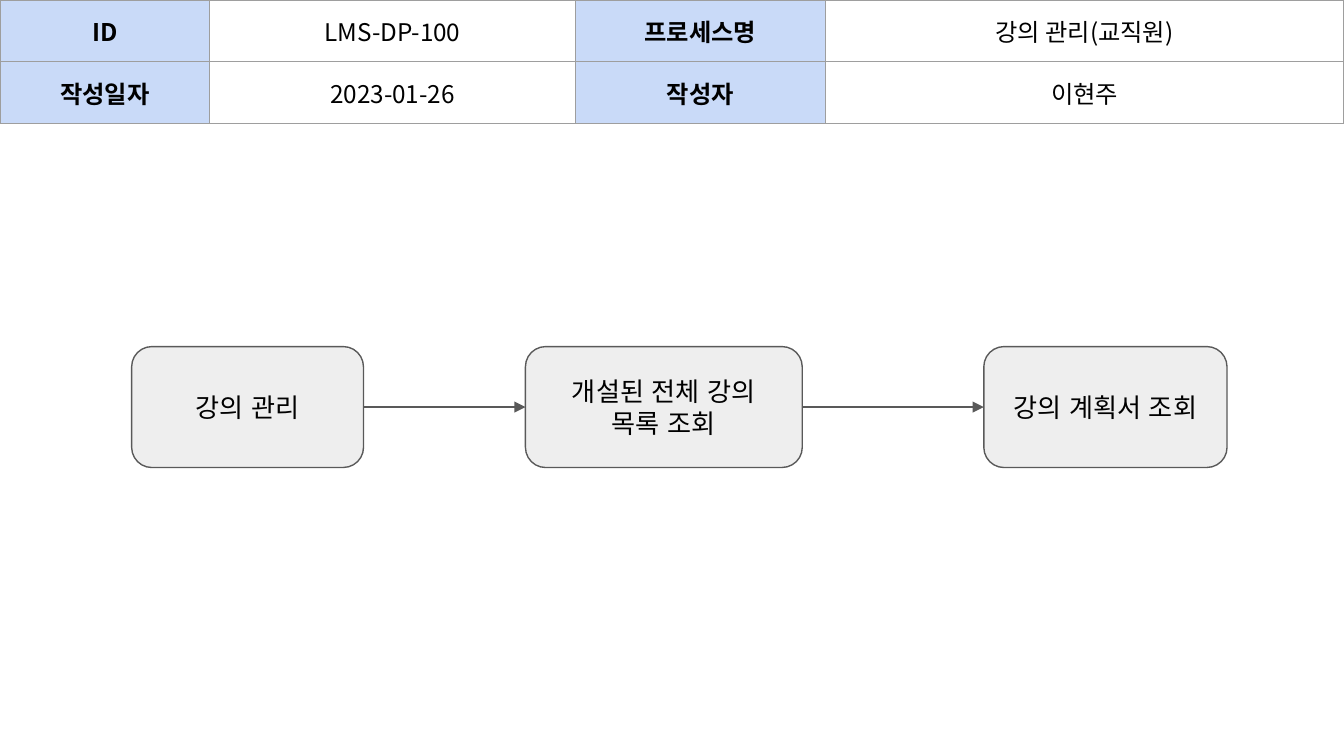
import dataclasses
import itertools

import pptx
import pptx.dml.color
import pptx.enum.shapes
import pptx.enum.text
import pptx.oxml
import pptx.oxml.ns
import pptx.util


@dataclasses.dataclass(frozen=True)
class Theme:
    text: str = "000000"
    label_fill: str = "C9DAF8"
    step_fill: str = "EEEEEE"
    outline: str = "595959"
    border: str = "9E9E9E"
    table_font: str = "Noto Sans CJK KR"
    step_font: str = "Arial"
    table_size: int = 13
    step_size: int = 14
    line_width: float = 0.75


THEME = Theme()
SLIDE_WIDTH = pptx.util.Inches(10)
SLIDE_HEIGHT = SLIDE_WIDTH * 9 // 16
GRID = 100
INSET = pptx.util.Inches(0.1)
RIGHT_SITE, LEFT_SITE = 3, 1

COLUMN_SPANS = (15.6, 27.2, 18.6, 9.1, 11.2, 18.3)
ROW_SPANS = (7.5, 7.6)
TABLE_ROWS = (
    ("ID", "LMS-DP-100", "프로세스명", "강의 관리(교직원)"),
    ("작성일자", "2023-01-26", "작성자", "이현주"),
)
STEP_TOP, STEP_HEIGHT = 45.85, 16
STEPS = (
    ("강의 관리", 9.8, 17.25),
    ("개설된 전체 강의 목록 조회", 39.1, 20.6),
    ("강의 계획서 조회", 73.2, 18.1),
)


def across(columns):
    return round(SLIDE_WIDTH * columns / GRID)


def down(rows):
    return round(SLIDE_HEIGHT * rows / GRID)


def color(value):
    return pptx.dml.color.RGBColor.from_string(value)


def element(markup):
    namespace = pptx.oxml.ns.nsdecls("a")
    return pptx.oxml.parse_xml(markup.replace("NS", namespace, 1))


def apply_format(target, values):
    for name, value in values.items():
        setattr(target, name, value)


def inset_format(prefix):
    return {prefix + side: INSET for side in ("left", "right", "top", "bottom")}


def write_text(text_frame, text, font_name, size, bold=False):
    paragraph = text_frame.paragraphs[0]
    paragraph.alignment = pptx.enum.text.PP_ALIGN.CENTER
    run = paragraph.add_run()
    run.text = text
    apply_format(run.font, {"name": font_name, "size": pptx.util.Pt(size), "bold": bold})
    run.font.color.rgb = color(THEME.text)
    run.font._element.append(element(f'<a:ea NS typeface="{font_name}"/>'))


def style_line(line):
    line.color.rgb = color(THEME.outline)
    line.width = pptx.util.Pt(THEME.line_width)


def add_borders(cell):
    properties = cell._tc.get_or_add_tcPr()
    width = pptx.util.Pt(THEME.line_width)
    for position, side in enumerate("LRTB"):
        properties.insert(position, element(
            f'<a:ln{side} NS w="{width}"><a:solidFill>'
            f'<a:srgbClr val="{THEME.border}"/></a:solidFill></a:ln{side}>'
        ))


def fill_cell(cell, text, is_label):
    apply_format(cell, {
        "vertical_anchor": pptx.enum.text.MSO_ANCHOR.MIDDLE,
        **inset_format("margin_"),
    })
    write_text(cell.text_frame, text, THEME.table_font, THEME.table_size, is_label)
    if is_label:
        cell.fill.solid()
        cell.fill.fore_color.rgb = color(THEME.label_fill)


def add_header_table(slide):
    table = slide.shapes.add_table(
        len(ROW_SPANS), len(COLUMN_SPANS), 0, 0,
        across(sum(COLUMN_SPANS)), down(sum(ROW_SPANS)),
    ).table
    apply_format(table, {"first_row": False, "horz_banding": False})
    for column, span in zip(table.columns, COLUMN_SPANS):
        column.width = across(span)
    for row, span in zip(table.rows, ROW_SPANS):
        row.height = down(span)
    for cell in table.iter_cells():
        cell.fill.background()
        add_borders(cell)
    for row_index, texts in enumerate(TABLE_ROWS):
        last_cell = table.cell(row_index, len(COLUMN_SPANS) - 1)
        table.cell(row_index, len(texts) - 1).merge(last_cell)
        for column_index, text in enumerate(texts):
            fill_cell(table.cell(row_index, column_index), text, column_index % 2 == 0)


def add_step(slide, text, left, width):
    shape = slide.shapes.add_shape(
        pptx.enum.shapes.MSO_SHAPE.ROUNDED_RECTANGLE,
        across(left), down(STEP_TOP), across(width), down(STEP_HEIGHT),
    )
    shape.shadow.inherit = False
    shape.fill.solid()
    shape.fill.fore_color.rgb = color(THEME.step_fill)
    style_line(shape.line)
    apply_format(shape.text_frame, {
        "word_wrap": True,
        "vertical_anchor": pptx.enum.text.MSO_ANCHOR.MIDDLE,
        **inset_format("margin_"),
    })
    write_text(shape.text_frame, text, THEME.step_font, THEME.step_size)
    return shape


def add_arrow(slide, source, target):
    connector = slide.shapes.add_connector(
        pptx.enum.shapes.MSO_CONNECTOR.STRAIGHT, 0, 0, 0, 0
    )
    connector.begin_connect(source, RIGHT_SITE)
    connector.end_connect(target, LEFT_SITE)
    style_line(connector.line)
    connector.line._get_or_add_ln().append(element('<a:tailEnd NS type="triangle"/>'))
    connector._element.spPr.append(element("<a:effectLst NS/>"))


def main():
    presentation = pptx.Presentation()
    apply_format(presentation, {"slide_width": SLIDE_WIDTH, "slide_height": SLIDE_HEIGHT})
    slide = presentation.slides.add_slide(presentation.slide_layouts[6])
    add_header_table(slide)
    steps = [add_step(slide, *step) for step in STEPS]
    for source, target in itertools.pairwise(steps):
        add_arrow(slide, source, target)
    presentation.save("out.pptx")


if __name__ == "__main__":
    main()
